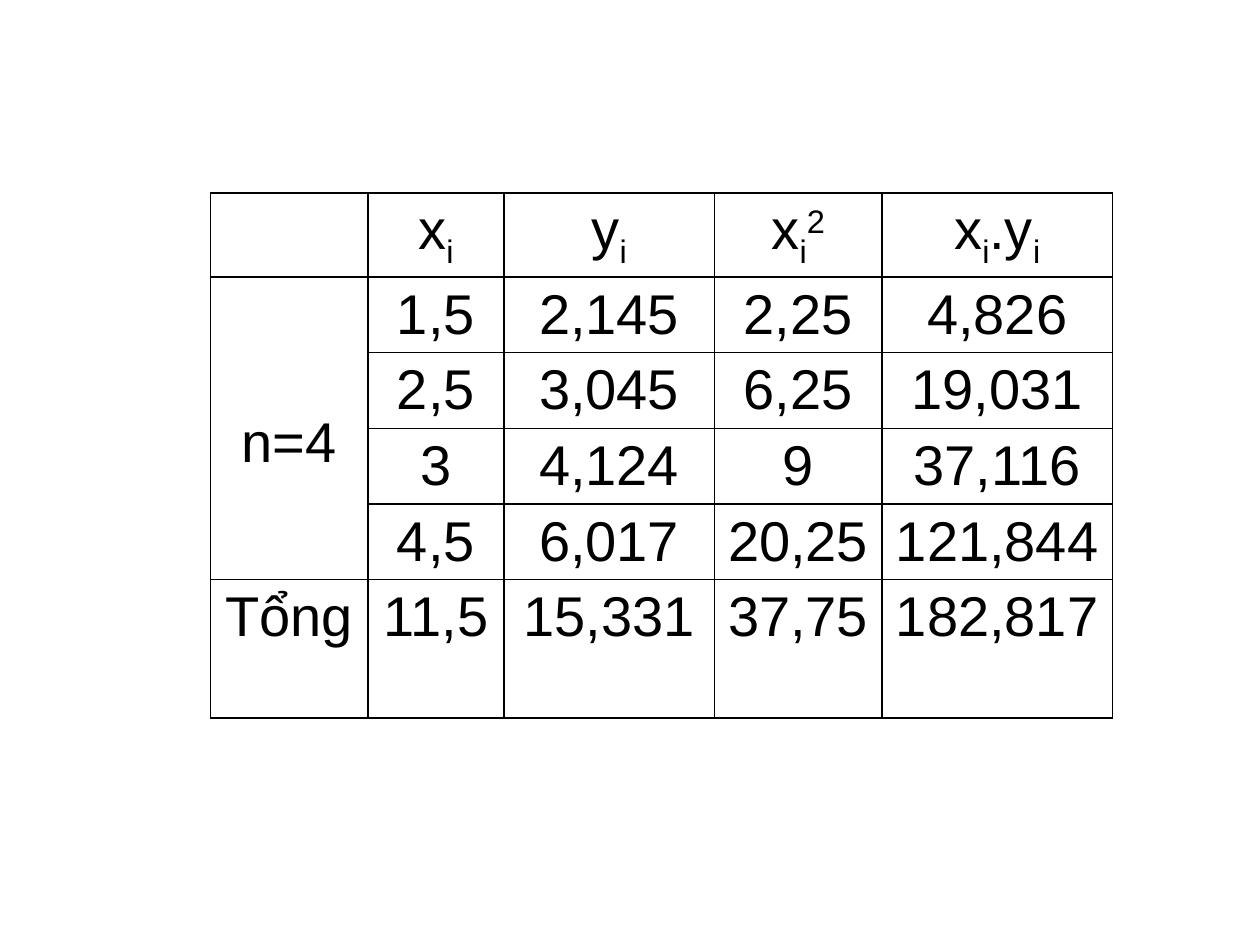
import pptx
import pptx.dml.color
import pptx.enum.text
import pptx.oxml
import pptx.oxml.ns
import pptx.util
from pptx.util import Inches

COLOURS = {"ink": "000000", "paper": "FFFFFF"}
SUB, SUPER = -25, 30
COLUMN_WIDTHS = [1.25, 1.08, 1.67, 1.33, 1.83]
ROW_HEIGHTS = [0.67] + [0.6] * 4 + [1.1]

# A cell is a list of (text, baseline shift in percent) spans.
X, Y, INDEX = ("x", 0), ("y", 0), ("i", SUB)
HEADER = [[], [X, INDEX], [Y, INDEX], [X, INDEX, ("2", SUPER)],
          [X, INDEX, (".y", 0), INDEX]]
VALUES = [
    ["n=4", "1,5", "2,145", "2,25", "4,826"],
    ["", "2,5", "3,045", "6,25", "19,031"],
    ["", "3", "4,124", "9", "37,116"],
    ["", "4,5", "6,017", "20,25", "121,844"],
    ["Tổng", "11,5", "15,331", "37,75", "182,817"],
]


class SlideWriter:
    def __init__(self, page, font="Arial", size=32):
        self.page = page
        self.font = font
        self.size = size

    def format_text(self, font):
        font.name = self.font
        font.size = pptx.util.Pt(self.size)
        font.color.rgb = pptx.dml.color.RGBColor.from_string(COLOURS["ink"])

    def borders(self, cell, width=1):
        properties = cell._tc.get_or_add_tcPr()
        for side in ("lnL", "lnR", "lnT", "lnB"):
            properties.append(pptx.oxml.parse_xml(
                f'<a:{side} {pptx.oxml.ns.nsdecls("a")} w="{pptx.util.Pt(width)}">'
                f'<a:solidFill><a:srgbClr val="{COLOURS["ink"]}"/></a:solidFill>'
                f'</a:{side}>'))

    def cell(self, cell, spans):
        self.borders(cell)
        cell.fill.solid()
        cell.fill.fore_color.rgb = pptx.dml.color.RGBColor.from_string(COLOURS["paper"])
        para = cell.text_frame.paragraphs[0]
        para.alignment = pptx.enum.text.PP_ALIGN.CENTER
        self.format_text(para.font)
        for text, shift in spans:
            span = para.add_run()
            span.text = text
            self.format_text(span.font)
            if shift:
                span.font._element.set("baseline", str(shift * 1000))

    def table(self, left, top, widths, heights, rows):
        frame = self.page.shapes.add_table(
            len(heights), len(widths), Inches(left), Inches(top),
            Inches(sum(widths)), Inches(sum(heights)))
        table = frame.table
        table.first_row = table.horz_banding = False
        for column, width in zip(table.columns, widths):
            column.width = Inches(width)
        for row, height in zip(table.rows, heights):
            row.height = Inches(height)
        for row, contents in zip(table.rows, rows):
            for cell, spans in zip(row.cells, contents):
                self.cell(cell, spans)
        return table


def main():
    deck = pptx.Presentation()
    deck.slide_width, deck.slide_height = Inches(10), Inches(7.5)
    writer = SlideWriter(deck.slides.add_slide(deck.slide_layouts[6]))

    body = [[[(text, 0)] if text else [] for text in row] for row in VALUES]
    table = writer.table(1.67, 1.53, COLUMN_WIDTHS, ROW_HEIGHTS, [HEADER] + body)

    sample_size = table.cell(1, 0)
    sample_size.merge(table.cell(4, 0))
    sample_size.vertical_anchor = pptx.enum.text.MSO_ANCHOR.MIDDLE
    sample_size.margin_top = Inches(0.28)

    deck.save("out.pptx")


if __name__ == "__main__":
    main()
